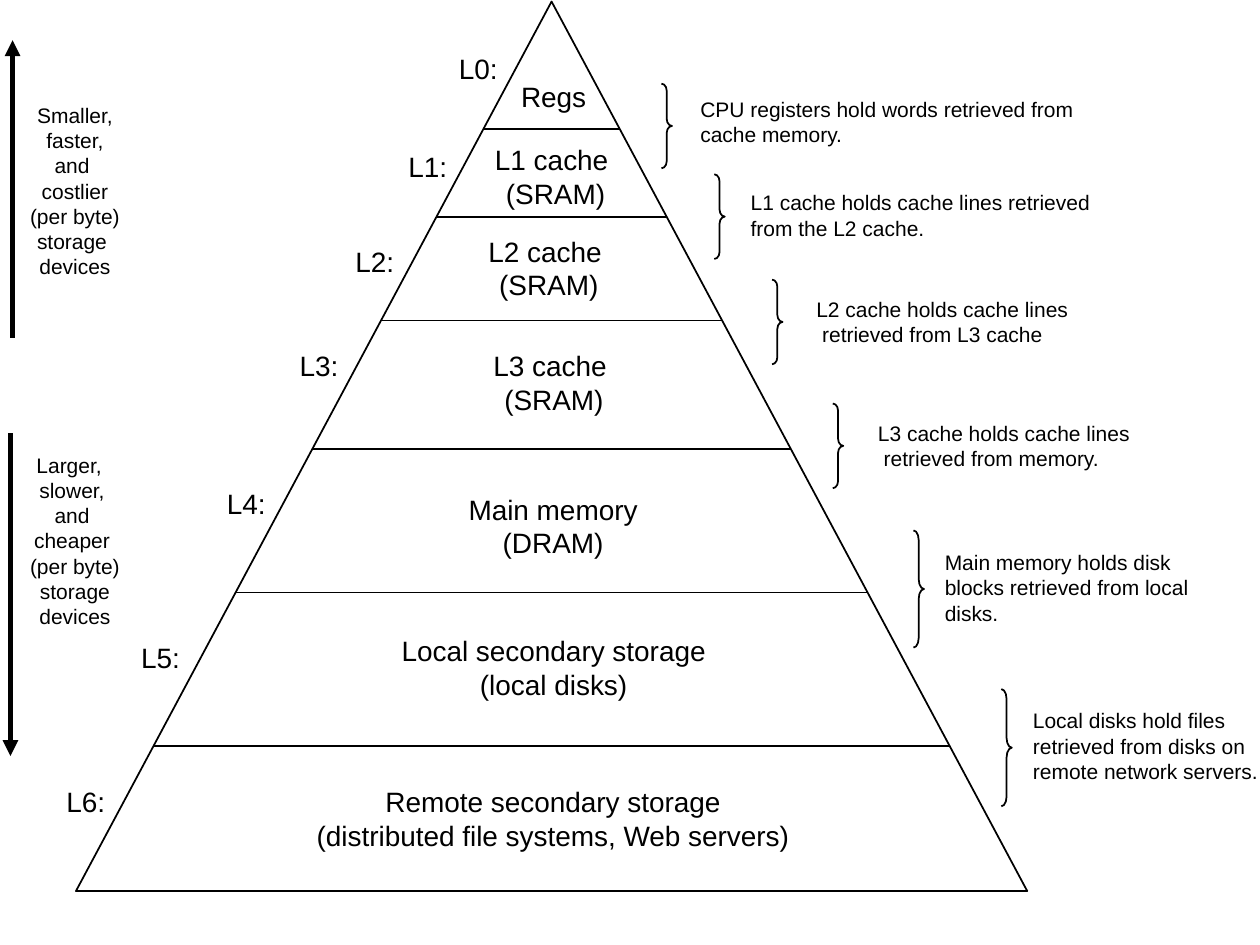
from dataclasses import dataclass

from lxml.etree import SubElement
from pptx import Presentation
from pptx.dml.color import RGBColor
from pptx.enum.shapes import MSO_CONNECTOR as Connector, MSO_SHAPE as Shape
from pptx.enum.text import MSO_ANCHOR as Anchor, MSO_AUTO_SIZE as AutoSize, PP_ALIGN as Align
from pptx.oxml.ns import qn
from pptx.util import Pt


@dataclass(frozen=True)
class Theme:
    ink: RGBColor = RGBColor(0, 0, 0)
    font: str = "Arial"
    level_size: float = 16
    note_size: float = 12
    thin: float = 1
    thick: float = 3


THEME = Theme()

# Pyramid outline
APEX_X, APEX_Y = 315.2, 0.9
BASE_WIDTH, PYRAMID_HEIGHT = 543.6, 508.3

DIVIDERS = [73.6, 124, 183.1, 256.5, 338.6, 426.2]

# Title lines, title centre x and y, title width, label left and top
LEVELS = [
    (["Regs"], 316.4, 54.8, 56, 254.9, 25.9),
    (["L1 cache ", "(SRAM)"], 317.5, 100.8, 88, 226.1, 81.8),
    (["L2 cache ", "(SRAM)"], 313.7, 153, 88, 195.8, 136.1),
    (["L3 cache ", "(SRAM)"], 316.6, 218.6, 88, 163.9, 195.4),
    (["Main memory", "(DRAM)"], 316.1, 300.5, 116, 122.4, 274.3),
    (["Local secondary storage", "(local disks)"], 316.4, 381.4, 194, 73.4, 362.2),
    (["Remote secondary storage", "(distributed file systems, Web servers)"],
     316, 467.6, 290, 30.7, 444.7),
]

# Note lines, brace left, top and height, text left, centre y and width
NOTES = [
    (["CPU registers hold words retrieved from cache memory."],
     378, 47.8, 48.4, 393.1, 69.4, 229.7),
    (["L1 cache holds cache lines retrieved from the L2 cache."],
     408.2, 99.6, 48.4, 421.9, 122.9, 223.2),
    (["L2 cache holds cache lines", " retrieved from L3 cache"],
     441.2, 159.8, 48.4, 459.4, 183.6, 206.6),
    (["L3 cache holds cache lines", " retrieved from memory."],
     475.9, 230.6, 48.4, 494.6, 254.9, 206.6),
    (["Main memory holds disk", "blocks retrieved from local", "disks."],
     522, 303.1, 67, 532.8, 335.7, 218.2),
    (["Local disks hold files retrieved from disks on remote network servers."],
     572.2, 393.8, 67, 583.2, 426.2, 162.7),
]

# Arrow x, start y and end y, caption top, caption lines
TRENDS = [
    (7.2, 193, 23, 55, ["Smaller,", "faster,", "and ", "costlier",
                        "(per byte)", "storage ", "devices"]),
    (6, 247.7, 432, 254.9, ["Larger,  ", "slower, ", "and ", "cheaper ",
                            "(per byte)", "storage", "devices"]),
]


def add_text(slide, lines, left, top, width, height, *, size, align=Align.CENTER, wrap=False):
    box = slide.shapes.add_textbox(Pt(left), Pt(top), Pt(width), Pt(height))
    frame = box.text_frame
    frame.word_wrap = wrap
    frame.auto_size = AutoSize.SHAPE_TO_FIT_TEXT
    frame.vertical_anchor = Anchor.MIDDLE
    for index, line in enumerate(lines):
        paragraph = frame.add_paragraph() if index else frame.paragraphs[0]
        paragraph.alignment = align
        run = paragraph.add_run()
        run.text = line
        run.font.name = THEME.font
        run.font.size = Pt(size)
        run.font.color.rgb = THEME.ink


def add_outline(slide, kind, left, top, width, height):
    shape = slide.shapes.add_shape(kind, Pt(left), Pt(top), Pt(width), Pt(height))
    shape.shadow.inherit = False
    shape.fill.background()
    shape.line.color.rgb = THEME.ink
    shape.line.width = Pt(THEME.thin)
    return shape


def add_line(slide, x1, y1, x2, y2, *, weight=THEME.thin, arrow=False):
    line = slide.shapes.add_connector(Connector.STRAIGHT, Pt(x1), Pt(y1), Pt(x2), Pt(y2))
    line.line.color.rgb = THEME.ink
    line.line.width = Pt(weight)
    if arrow:
        SubElement(line.line._get_or_add_ln(), qn("a:tailEnd"), type="triangle")
    SubElement(line._element.spPr, qn("a:effectLst"))


def add_pyramid(slide):
    add_outline(slide, Shape.ISOSCELES_TRIANGLE, APEX_X - BASE_WIDTH / 2, APEX_Y,
                BASE_WIDTH, PYRAMID_HEIGHT)
    for y in DIVIDERS:
        half = BASE_WIDTH / 2 * (y - APEX_Y) / PYRAMID_HEIGHT
        add_line(slide, APEX_X - half, y, APEX_X + half, y)


def add_level(slide, number, lines, center_x, center_y, width, label_left, label_top):
    height = 7.2 + 19.4 * len(lines)
    add_text(slide, lines, center_x - width / 2, center_y - height / 2, width, height,
             size=THEME.level_size)
    add_text(slide, [f"L{number}:"], label_left, label_top, 36.7, 26.6, size=THEME.level_size)


def add_note(slide, lines, brace_left, brace_top, brace_height, left, center_y, width):
    """Add a right brace and the explanation beside it."""
    brace_width = 6
    brace = add_outline(slide, Shape.RIGHT_BRACE, brace_left, brace_top,
                        brace_width, brace_height)
    brace.adjustments[0] = brace_height / brace_width / 12
    height = 50.4 if brace_height > 60 else 36
    add_text(slide, lines, left, center_y - height / 2, width, height,
             size=THEME.note_size, align=Align.LEFT, wrap=True)


def add_trend(slide, x, start_y, end_y, caption_top, lines):
    add_line(slide, x, start_y, x, end_y, weight=THEME.thick, arrow=True)
    add_text(slide, lines, 8.1, caption_top, 69.5, 108, size=THEME.note_size)


def main():
    presentation = Presentation()
    presentation.slide_width, presentation.slide_height = Pt(720), Pt(540)
    slide = presentation.slides.add_slide(presentation.slide_layouts[6])
    add_pyramid(slide)
    for number, level in enumerate(LEVELS):
        add_level(slide, number, *level)
    for note in NOTES:
        add_note(slide, *note)
    for trend in TRENDS:
        add_trend(slide, *trend)
    presentation.save("out.pptx")


if __name__ == "__main__":
    main()
